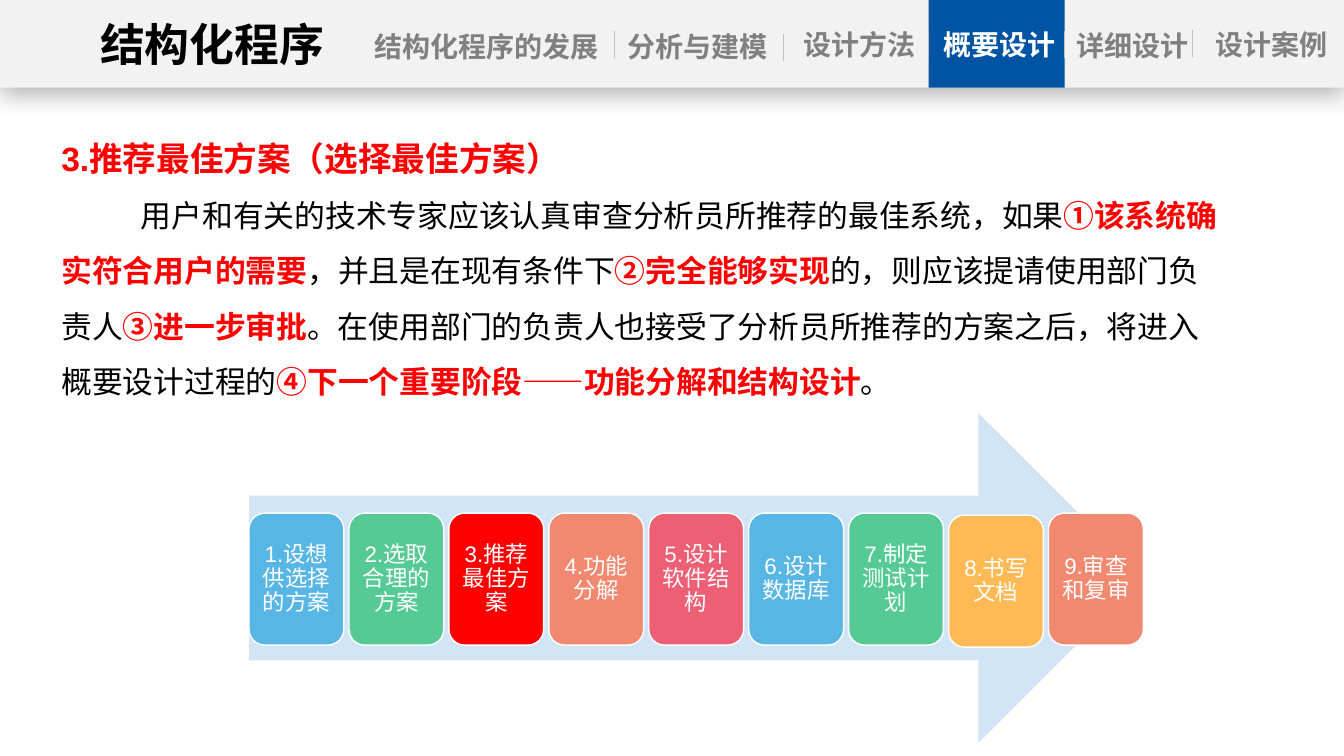
from lxml import etree
from pptx import Presentation
from pptx import util as u
from pptx.dml.color import RGBColor
from pptx.enum import lang, shapes, text
from pptx.oxml import parse_xml
from pptx.oxml.ns import nsdecls, qn

PX = 9144  # one hundred px to the inch
FONT = "Arial"

BLACK = RGBColor(0x00, 0x00, 0x00)
WHITE = RGBColor(0xFF, 0xFF, 0xFF)
RED = RGBColor(0xFF, 0x00, 0x00)
GREY = RGBColor(0x80, 0x80, 0x80)
RULE_GREY = RGBColor(0xBF, 0xBF, 0xBF)
HEADER_GREY = RGBColor(0xF2, 0xF2, 0xF2)
NAVY = RGBColor(0x00, 0x54, 0xA3)
PALE_BLUE = RGBColor(0xD1, 0xE5, 0xF5)
SKY = RGBColor(0x58, 0xB6, 0xE5)
GREEN = RGBColor(0x56, 0xCA, 0x95)
CORAL = RGBColor(0xF1, 0x88, 0x70)
ROSE = RGBColor(0xEC, 0x5F, 0x74)
AMBER = RGBColor(0xFF, 0xBA, 0x55)

TITLE = "结构化程序"
TABS = [  # label, left, top, width, colour
    ("结构化程序的发展", 364, 24, 237, GREY),
    ("分析与建模", 618, 24, 147, GREY),
    ("设计方法", 779, 22, 147, GREY),
    ("概要设计", 918, 22, 147, WHITE),
    ("详细设计", 1047, 23, 152, GREY),
    ("设计案例", 1188, 22, 147, GREY),
]
DIVIDERS = [(609, 31), (777, 34), (921, 31), (1056, 31), (1183, 30)]
DIVIDER_HEIGHT = 27

HEADING = "3.推荐最佳方案（选择最佳方案）"
BODY = [  # words, emphasised
    ("用户和有关的技术专家应该认真审查分析员所推荐的最佳系统，如果", False),
    ("①该系统确实符合用户的需要", True),
    ("，并且是在现有条件下", False),
    ("②完全能够实现", True),
    ("的，则应该提请使用部门负责人", False),
    ("③进一步审批", True),
    ("。在使用部门的负责人也接受了分析员所推荐的方案之后，将进入概要设计过程的", False),
    ("④下一个重要阶段——功能分解和结构设计", True),
    ("。", False),
]
STEPS = [  # label, fill, drop below the row
    ("1.设想供选择的方案", SKY, 0),
    ("2.选取合理的方案", GREEN, 0),
    ("3.推荐最佳方案", RED, 0),
    ("4.功能分解", CORAL, 0),
    ("5.设计软件结构", ROSE, 0),
    ("6.设计数据库", SKY, 0),
    ("7.制定测试计划", GREEN, 0),
    ("8.书写文档", AMBER, 2),
    ("9.审查和复审", CORAL, 0),
]
ARROW = (247, 410, 887, 327)
CARD_TOP, CARD_WIDTH, CARD_HEIGHT = 509, 94, 131


def emu(*lengths):
    return [round(length * PX) for length in lengths]


def add_span(para, words, size, colour, bold=False):
    span = para.add_run()
    span.text = words
    font = span.font
    font.name, font.size, font.bold = FONT, u.Pt(size), bold
    font.color.rgb = colour
    font.language_id = lang.MSO_LANGUAGE_ID.SIMPLIFIED_CHINESE


def set_frame(frame, side, edge, anchor=text.MSO_ANCHOR.TOP):
    frame.word_wrap = True
    frame.auto_size = text.MSO_AUTO_SIZE.NONE
    frame.vertical_anchor = anchor
    frame.margin_left = frame.margin_right = side * PX
    frame.margin_top = frame.margin_bottom = edge * PX


def add_label(frame, words, size, colour, bold=True):
    para = frame.paragraphs[0]
    para.alignment = text.PP_ALIGN.CENTER
    add_span(para, words, size, colour, bold)
    return para


def add_block(page, kind, at, fill):
    block = page.shapes.add_shape(kind, *emu(*at))
    block.shadow.inherit = False
    block.fill.solid()
    block.fill.fore_color.rgb = fill
    block.line.fill.background()
    return block


def add_divider(page, x, top):
    line = page.shapes.add_connector(
        shapes.MSO_CONNECTOR.STRAIGHT, *emu(x, top, x, top + DIVIDER_HEIGHT))
    line.line.color.rgb = RULE_GREY
    line.line.width = u.Pt(0.5)
    etree.SubElement(line.element.spPr, qn("a:effectLst"))


def add_body(page):
    frame = page.shapes.add_textbox(*emu(51, 112, 1174, 331)).text_frame
    set_frame(frame, 10, 5)
    heading = frame.paragraphs[0]
    heading.line_spacing = 1.5
    add_span(heading, HEADING, 24, RED, True)
    para = frame.add_paragraph()
    para.line_spacing = 1.5
    para._p.get_or_add_pPr().set("indent", str(79 * PX))
    for words, strong in BODY:
        add_span(para, words, 22, RED if strong else BLACK, strong)


def add_process(page):
    add_block(page, shapes.MSO_SHAPE.RIGHT_ARROW, ARROW, PALE_BLUE)
    left, _, width, _ = ARROW
    pitch = (width - CARD_WIDTH) / (len(STEPS) - 1)
    for index, (words, fill, drop) in enumerate(STEPS):
        at = (left + index * pitch, CARD_TOP + drop, CARD_WIDTH, CARD_HEIGHT)
        card = add_block(page, shapes.MSO_SHAPE.ROUNDED_RECTANGLE, at, fill)
        card.line.color.rgb = WHITE
        card.line.width = u.Pt(1)
        set_frame(card.text_frame, 7, 7, text.MSO_ANCHOR.MIDDLE)
        add_label(card.text_frame, words, 16, WHITE, False).line_spacing = 0.9


def add_header(page):
    band = add_block(page, shapes.MSO_SHAPE.RECTANGLE, (0, 0, 1333, 87), HEADER_GREY)
    band.element.spPr.find(qn("a:effectLst")).append(parse_xml(
        f'<a:outerShdw {nsdecls("a")} blurRad="{u.Pt(18)}" dist="{u.Pt(4)}" '
        'dir="5400000" algn="t" rotWithShape="0"><a:srgbClr val="000000">'
        '<a:alpha val="29000"/></a:srgbClr></a:outerShdw>'))
    add_block(page, shapes.MSO_SHAPE.RECTANGLE, (921, 0, 135, 87), NAVY)
    for x, top in DIVIDERS:
        add_divider(page, x, top)
    for words, left, top, width, colour in TABS:
        tab = page.shapes.add_textbox(*emu(left, top, width, 44))
        set_frame(tab.text_frame, 0, 5)
        add_label(tab.text_frame, words, 20, colour)


def place_title(page):
    """Format the title and bring it in front of the header band."""
    title = page.shapes.title
    title.left, title.top, title.width, title.height = emu(91, 12, 239, 64)
    set_frame(title.text_frame, 0, 5)
    add_label(title.text_frame, TITLE, 32, BLACK)
    title.element.getparent().append(title.element)


def main():
    deck = Presentation()
    deck.slide_width, deck.slide_height = emu(1333, 750)
    page = deck.slides.add_slide(deck.slide_layouts[5])
    add_body(page)
    add_process(page)
    add_header(page)
    place_title(page)
    deck.save("out.pptx")


if __name__ == "__main__":
    main()
